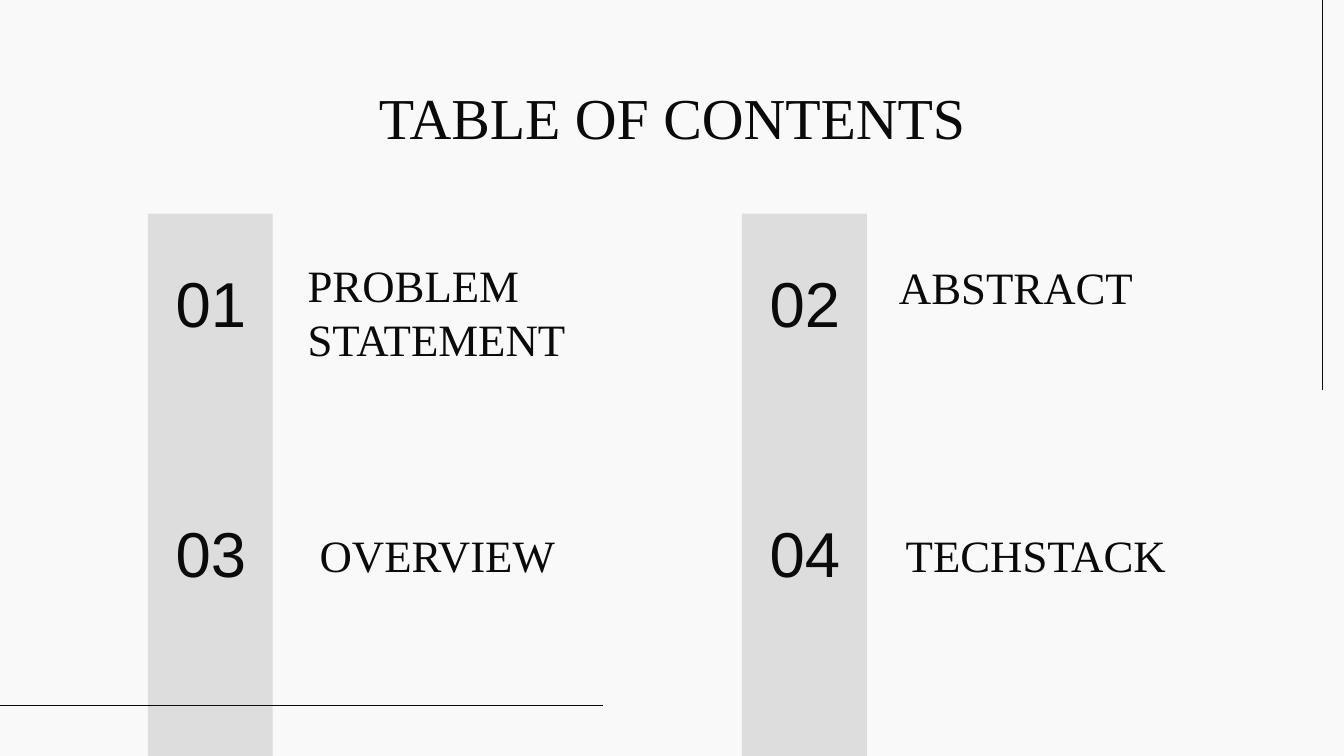
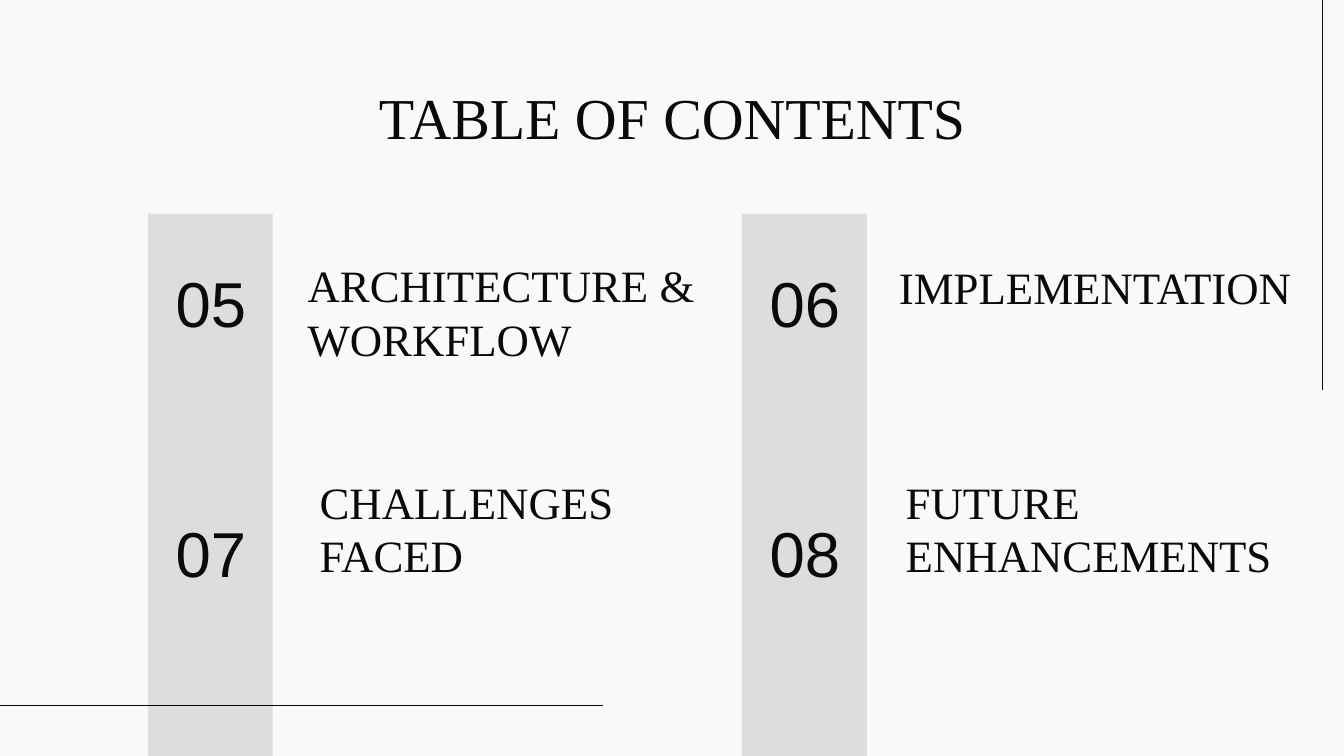
from lxml.etree import SubElement
from pptx import Presentation
from pptx.dml.color import RGBColor
from pptx.enum.shapes import MSO_CONNECTOR, MSO_SHAPE
from pptx.enum.text import MSO_ANCHOR, MSO_AUTO_SIZE, PP_ALIGN
from pptx.oxml.ns import qn
from pptx.util import Inches, Pt

PAPER = RGBColor(0xF9, 0xF9, 0xF9)
INK = RGBColor(0x0A, 0x0A, 0x0A)
BAND = RGBColor(0xDD, 0xDD, 0xDD)
SERIF = "Times New Roman"
SANS = "Arial"

BAND_LEFTS = (1.1, 5.52)
NUMBER_TOPS = (1.62, 3.48)
RULES = ((9.84, 2.9, 9.84, 0), (0, 5.25, 4.49, 5.25))

# Left, top, width, height and anchor of the four entries, row by row
ENTRY_PLACES = (
    (2.19, 1.94, 3.19, 0.88, MSO_ANCHOR.BOTTOM),
    (6.59, 1.83, 3.28, 0.61, MSO_ANCHOR.TOP),
    (2.28, 3.55, 2.5, 0.88, MSO_ANCHOR.BOTTOM),
    (6.64, 3.55, 3.19, 0.88, MSO_ANCHOR.BOTTOM),
)
CONTENTS = (
    ("PROBLEM STATEMENT", "ABSTRACT", "OVERVIEW", "TECHSTACK"),
    ("ARCHITECTURE & WORKFLOW", "IMPLEMENTATION",
     "CHALLENGES FACED", "FUTURE ENHANCEMENTS"),
)


def write(box, text, font_name, size, align, anchor):
    """Fill a text box or placeholder with one styled paragraph."""
    frame = box.text_frame
    frame.word_wrap = True
    frame.auto_size = MSO_AUTO_SIZE.NONE
    frame.vertical_anchor = anchor
    frame.margin_left = frame.margin_right = Inches(0.1)
    frame.margin_top = frame.margin_bottom = Inches(0.1)
    paragraph = frame.paragraphs[0]
    paragraph.text = text
    paragraph.alignment = align
    paragraph.font.name = font_name
    paragraph.font.size = Pt(size)
    paragraph.font.color.rgb = INK


prs = Presentation()
prs.slide_width = Inches(10)
prs.slide_height = prs.slide_width * 9 // 16
background = prs.slide_master.background.fill
background.solid()
background.fore_color.rgb = PAPER
title_only = prs.slide_layouts[5]

for page, entries in enumerate(CONTENTS):
    slide = prs.slides.add_slide(title_only)
    shapes = slide.shapes

    heading = shapes.title
    heading.left, heading.top = Inches(0.78), Inches(0.51)
    heading.width, heading.height = Inches(8.44), Inches(0.6)
    write(heading, "TABLE OF CONTENTS", SERIF, 31,
          PP_ALIGN.CENTER, MSO_ANCHOR.TOP)

    for left in BAND_LEFTS:
        band = shapes.add_shape(
            MSO_SHAPE.RECTANGLE, Inches(left), Inches(1.59),
            Inches(0.93), Inches(4.04))
        band.shadow.inherit = False
        band.fill.solid()
        band.fill.fore_color.rgb = BAND
        band.line.fill.background()

    for ends in RULES:
        rule = shapes.add_connector(
            MSO_CONNECTOR.STRAIGHT, *(Inches(end) for end in ends))
        rule.line.color.rgb = INK
        rule.line.width = Pt(0.75)
        SubElement(rule._element.spPr, qn("a:effectLst"))

    for index, (entry, place) in enumerate(zip(entries, ENTRY_PLACES)):
        row, column = divmod(index, 2)
        number = shapes.add_textbox(
            Inches(BAND_LEFTS[column] - 0.01), Inches(NUMBER_TOPS[row]),
            Inches(0.96), Inches(1.26))
        write(number, f"{page * len(entries) + index + 1:02}", SANS, 34,
              PP_ALIGN.CENTER, MSO_ANCHOR.MIDDLE)

        *bounds, anchor = place
        label = shapes.add_textbox(*(Inches(bound) for bound in bounds))
        write(label, entry, SERIF, 24, PP_ALIGN.LEFT, anchor)

prs.save("out.pptx")
